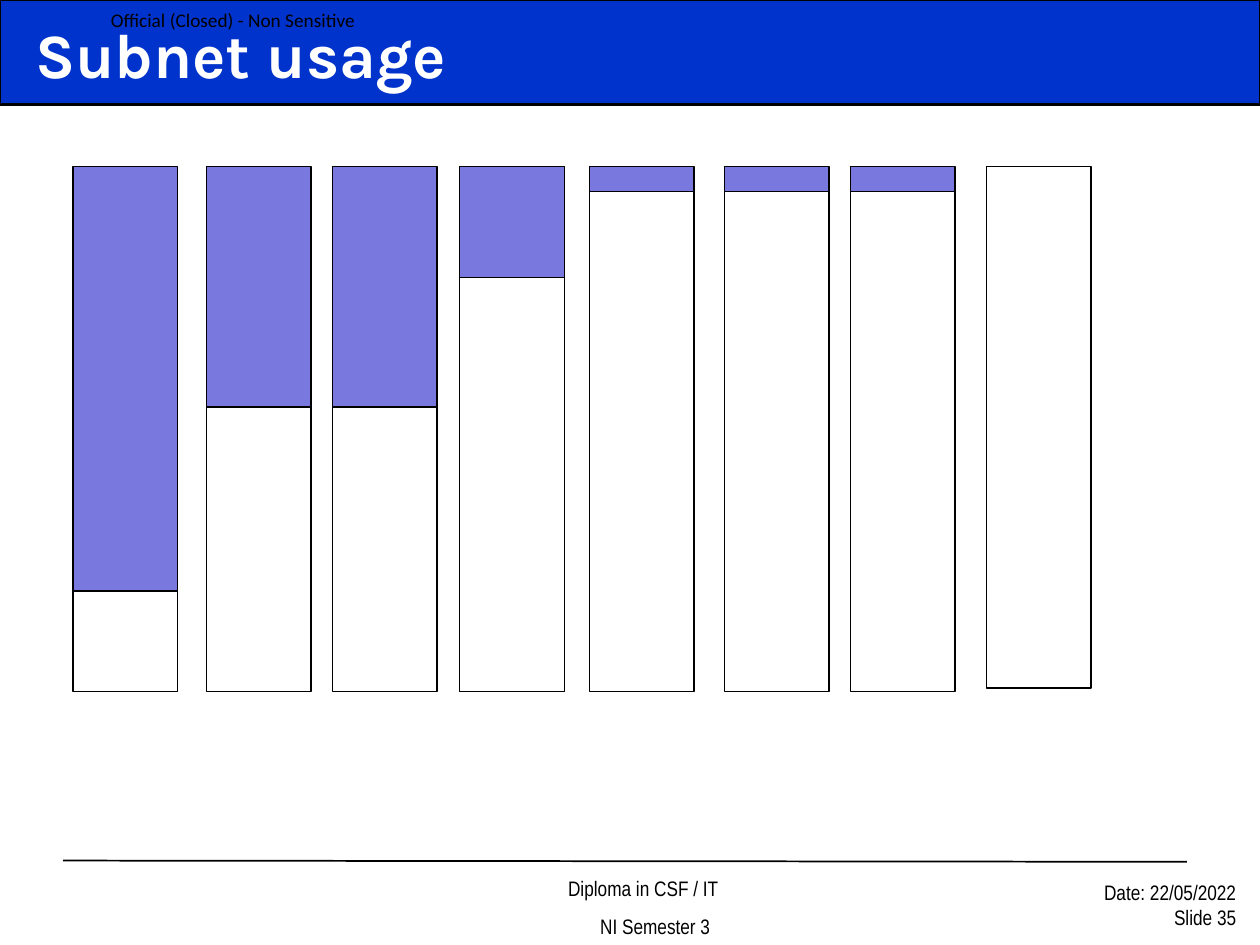
from pptx import Presentation
from pptx.dml.color import RGBColor
from pptx.enum.shapes import MSO_CONNECTOR, MSO_SHAPE
from pptx.enum.text import MSO_ANCHOR, PP_ALIGN
from pptx.util import Inches, Pt
from lxml import etree

RECT, STRAIGHT = MSO_SHAPE.RECTANGLE, MSO_CONNECTOR.STRAIGHT
TOP, MIDDLE, BOTTOM = MSO_ANCHOR.TOP, MSO_ANCHOR.MIDDLE, MSO_ANCHOR.BOTTOM
LEFT, CENTER, RIGHT = PP_ALIGN.LEFT, PP_ALIGN.CENTER, PP_ALIGN.RIGHT
COLORS = {"band": "0033CC", "used": "7878DE", "ink": "000000", "title": "FFFFFF"}
BAR_TOP, BAR_WIDTH, BAR_BOTTOM = 1.32, 0.83, 5.49
USED_BARS = [(0.58, 3.37), (1.64, 1.91), (2.64, 1.91), (3.65, 0.88),
             (4.68, 0.2), (5.75, 0.2), (6.75, 0.2)]
EMPTY_BAR = (7.83, 4.14)


def rgb(name):
    """Return the palette colour called name."""
    return RGBColor.from_string(COLORS[name])


def add_text(p, text, font="Arial Narrow", size=12, color="ink", bold=False,
             align=LEFT, before=0, indent=0, spacing=None):
    """Write one formatted run into a paragraph."""
    p.alignment = align
    if before:
        p.space_before = Pt(before)
    if spacing:
        p.line_spacing = spacing
    if indent:
        pPr = p._p.get_or_add_pPr()
        pPr.set("marL", str(Inches(indent)))
        pPr.set("indent", "0")
    r = p.add_run()
    r.text = text
    r.font.name, r.font.size, r.font.bold = font, Pt(size), bold
    r.font.color.rgb = rgb(color)


class SlideBuilder:
    """Draws styled elements on the current slide."""

    def __init__(self, slide):
        self.s = slide

    def rect(self, x, y, w, h, fill=None, weight=0.75):
        """Add an outlined rectangle."""
        sp = self.s.shapes.add_shape(RECT, Inches(x), Inches(y), Inches(w), Inches(h))
        sp.shadow.inherit = False
        if fill:
            sp.fill.solid()
            sp.fill.fore_color.rgb = rgb(fill)
        else:
            sp.fill.background()
        sp.line.color.rgb = rgb("ink")
        sp.line.width = Pt(weight)

    def line(self, x1, y1, x2, y2, weight=1):
        """Add a straight line."""
        cx = self.s.shapes.add_connector(
            STRAIGHT, Inches(x1), Inches(y1), Inches(x2), Inches(y2))
        cx.line.color.rgb = rgb("ink")
        cx.line.width = Pt(weight)
        ns = "http://schemas.openxmlformats.org/drawingml/2006/main"
        etree.SubElement(cx._element.spPr, f"{{{ns}}}effectLst")

    def text(self, x, y, w, h, lines, anchor=TOP, insets=(0.1, 0.05), wrap=True,
             **style):
        """Add a text box with one paragraph for each text and its extra format."""
        sp = self.s.shapes.add_textbox(Inches(x), Inches(y), Inches(w), Inches(h))
        tf = sp.text_frame
        tf.word_wrap = wrap
        tf.vertical_anchor = anchor
        tf.margin_left = tf.margin_right = Inches(insets[0])
        tf.margin_top = tf.margin_bottom = Inches(insets[1])
        for i, (text, extra) in enumerate(lines):
            p = tf.add_paragraph() if i else tf.paragraphs[0]
            add_text(p, text, **style, **extra)


def main():
    """Build the subnet usage slide."""
    prs = Presentation()
    prs.slide_width, prs.slide_height = Inches(10), Inches(7.5)
    b = SlideBuilder(prs.slides.add_slide(prs.slide_layouts[6]))

    b.text(3.33, 7.08, 3.08, 0.42,
           [("Diploma in CSF / IT", {"indent": 0.47}),
            ("NI Semester 3", {"indent": 0.66, "before": 7.5})],
           anchor=BOTTOM, align=CENTER)
    b.line(0.5, 6.83, 9.42, 6.84)
    b.rect(0, 0, 10, 0.83, fill="band", weight=1.5)
    b.text(8.58, 6.93, 1.33, 0.5,
           [("Date: 22/05/2022", {}), ("Slide 35", {})], align=RIGHT)
    b.text(0.88, 0, 2.13, 0.31, [("Official (Closed) - Non Sensitive", {})],
           anchor=MIDDLE, insets=(0, 0), wrap=False, font="Calibri", size=11)
    b.text(0.18, 0.04, 9.83, 0.75, [("Subnet usage", {})], anchor=MIDDLE,
           font="Karla", size=36, color="title", bold=True, spacing=1.02)

    for x, used in USED_BARS:
        split = BAR_TOP + used
        b.rect(x, split, BAR_WIDTH, BAR_BOTTOM - split)
        b.rect(x, BAR_TOP, BAR_WIDTH, used, fill="used")
    x, height = EMPTY_BAR
    b.rect(x, BAR_TOP, BAR_WIDTH, height)

    prs.save("out.pptx")


if __name__ == "__main__":
    main()
